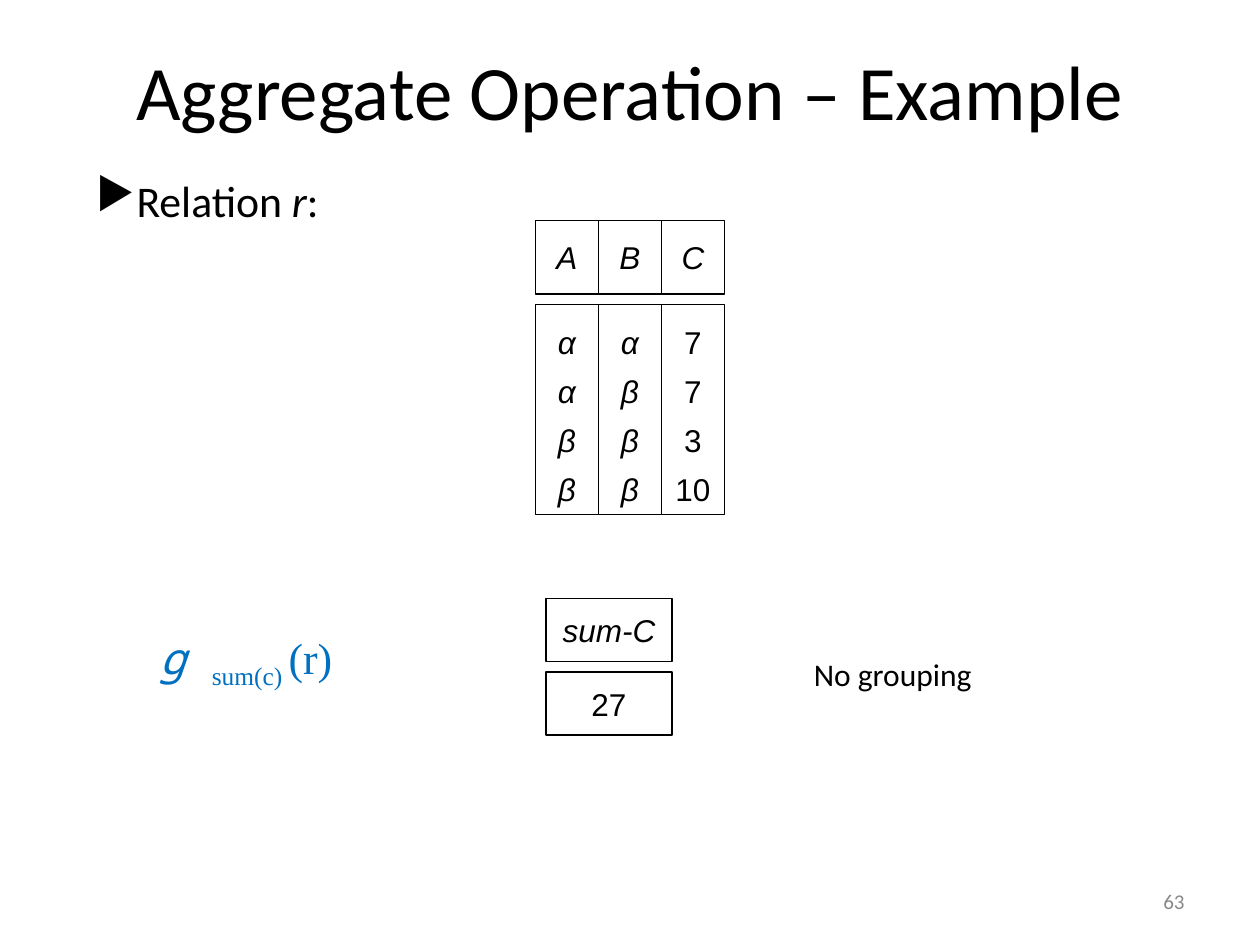
"""Build the slide showing an aggregate operation on a relation."""
from dataclasses import dataclass
from typing import Optional

from lxml.etree import SubElement
from pptx import Presentation
from pptx.dml.color import RGBColor
from pptx.enum.shapes import MSO_SHAPE as Shape
from pptx.enum.text import MSO_ANCHOR as Anchor, MSO_AUTO_SIZE as AutoSize, PP_ALIGN as Align
from pptx.oxml.ns import qn
from pptx.util import Pt

COLORS = {"ink": "000000", "paper": "FFFFFF", "formula": "0070C0", "number": "898989"}


@dataclass(frozen=True)
class Box:
    left: float
    top: float
    width: float
    height: float


@dataclass(frozen=True)
class Span:
    text: str
    size: float = 18
    font: str = "Calibri"
    color: str = "ink"
    italic: bool = False
    baseline: int = 0


@dataclass(frozen=True)
class Style:
    align: Align = Align.LEFT
    anchor: Anchor = Anchor.TOP
    wrap: bool = True
    spacing: Optional[float] = None
    hanging: tuple[float, float] = (0, 0)
    bullet: str = ""


@dataclass(frozen=True)
class Column:
    heading: str
    values: tuple[str, ...]
    italic: bool = True


def rgb(name: str) -> RGBColor:
    return RGBColor.from_string(COLORS[name])


def place(shape, box: Box) -> None:
    shape.left, shape.top = Pt(box.left), Pt(box.top)
    shape.width, shape.height = Pt(box.width), Pt(box.height)


def add_span(paragraph, span: Span) -> None:
    run = paragraph.add_run()
    run.text = span.text
    run.font.size, run.font.name = Pt(span.size), span.font
    run.font.italic = span.italic
    run.font.color.rgb = rgb(span.color)
    if span.baseline:
        run._r.get_or_add_rPr().set("baseline", str(span.baseline * 1000))


def write(frame, lines: list[list[Span]], style: Style) -> None:
    frame.auto_size = AutoSize.NONE
    frame.word_wrap = style.wrap
    frame.vertical_anchor = style.anchor
    for index, spans in enumerate(lines):
        paragraph = frame.add_paragraph() if index else frame.paragraphs[0]
        paragraph.alignment = style.align
        if style.spacing:
            paragraph.line_spacing = style.spacing
        margin, indent = style.hanging
        if margin:
            properties = paragraph._p.get_or_add_pPr()
            properties.set("marL", str(Pt(margin)))
            properties.set("indent", str(Pt(indent)))
            if style.bullet:
                bullet_color = SubElement(properties, qn("a:buClr"))
                SubElement(bullet_color, qn("a:srgbClr")).set("val", COLORS["ink"])
                SubElement(properties, qn("a:buChar")).set("char", style.bullet)
        for span in spans:
            add_span(paragraph, span)


def add_text(slide, box: Box, spans: list[Span], style: Style) -> None:
    label = slide.shapes.add_textbox(0, 0, 0, 0)
    place(label, box)
    write(label.text_frame, [spans], style)


def add_cell(slide, box: Box, values: tuple[str, ...], italic: bool,
             spacing: Optional[float] = None) -> None:
    cell = slide.shapes.add_shape(Shape.RECTANGLE, 0, 0, 0, 0)
    place(cell, box)
    cell.shadow.inherit = False
    cell.fill.solid()
    cell.fill.fore_color.rgb = rgb("paper")
    cell.line.color.rgb = rgb("ink")
    cell.line.width = Pt(0.75)
    lines = [[Span(value, font="Arial", italic=italic)] for value in values]
    write(cell.text_frame, lines, Style(Align.CENTER, Anchor.MIDDLE, False, spacing))


def add_relation(slide, columns: list[Column], left: float, top: float, width: float,
                 heading_height: float, body_height: float, gap: float = 6,
                 spacing: Optional[float] = None) -> None:
    body_top = top + heading_height + gap
    for index, column in enumerate(columns):
        x = left + index * width
        add_cell(slide, Box(x, top, width, heading_height), (column.heading,), True)
        add_cell(slide, Box(x, body_top, width, body_height), column.values,
                 column.italic, spacing)


def main() -> None:
    deck = Presentation()
    deck.slide_width, deck.slide_height = Pt(720), Pt(540)
    slide = deck.slides.add_slide(deck.slide_layouts[5])

    title = slide.shapes.title
    place(title, Box(36, 6, 648, 90))
    write(title.text_frame, [[Span("Aggregate Operation – Example", 44)]],
          Style(Align.CENTER, Anchor.MIDDLE))

    add_text(slide, Box(39, 101.5, 153.5, 49),
             [Span("Relation ", 25), Span("r", 25, italic=True), Span(":", 25)],
             Style(spacing=0.8, hanging=(28.8, -20), bullet="▶"))

    relation = [
        Column("A", ("α", "α", "β", "β")),
        Column("B", ("α", "β", "β", "β")),
        Column("C", ("7", "7", "3", "10"), italic=False),
    ]
    add_relation(slide, relation, 306, 126, 36, 42, 120, spacing=1.3)

    formula = [
        Span("g ", 25, "Noto Sans Mono", "formula", italic=True),
        Span("sum(c) ", 25, "Times New Roman", "formula", baseline=-25),
        Span("(r)", 25, "Times New Roman", "formula"),
    ]
    add_text(slide, Box(84, 360, 174, 44), formula,
             Style(spacing=0.8, hanging=(27, -27)))

    result = [Column("sum-C", ("27",), italic=False)]
    add_relation(slide, result, 312, 342, 72, 36, 36)

    add_text(slide, Box(458, 371, 104.5, 29), [Span("No grouping")], Style(wrap=False))
    add_text(slide, Box(516, 500.5, 168, 28.75), [Span("63", 12, color="number")],
             Style(Align.RIGHT, Anchor.MIDDLE))

    deck.save("out.pptx")


if __name__ == "__main__":
    main()
